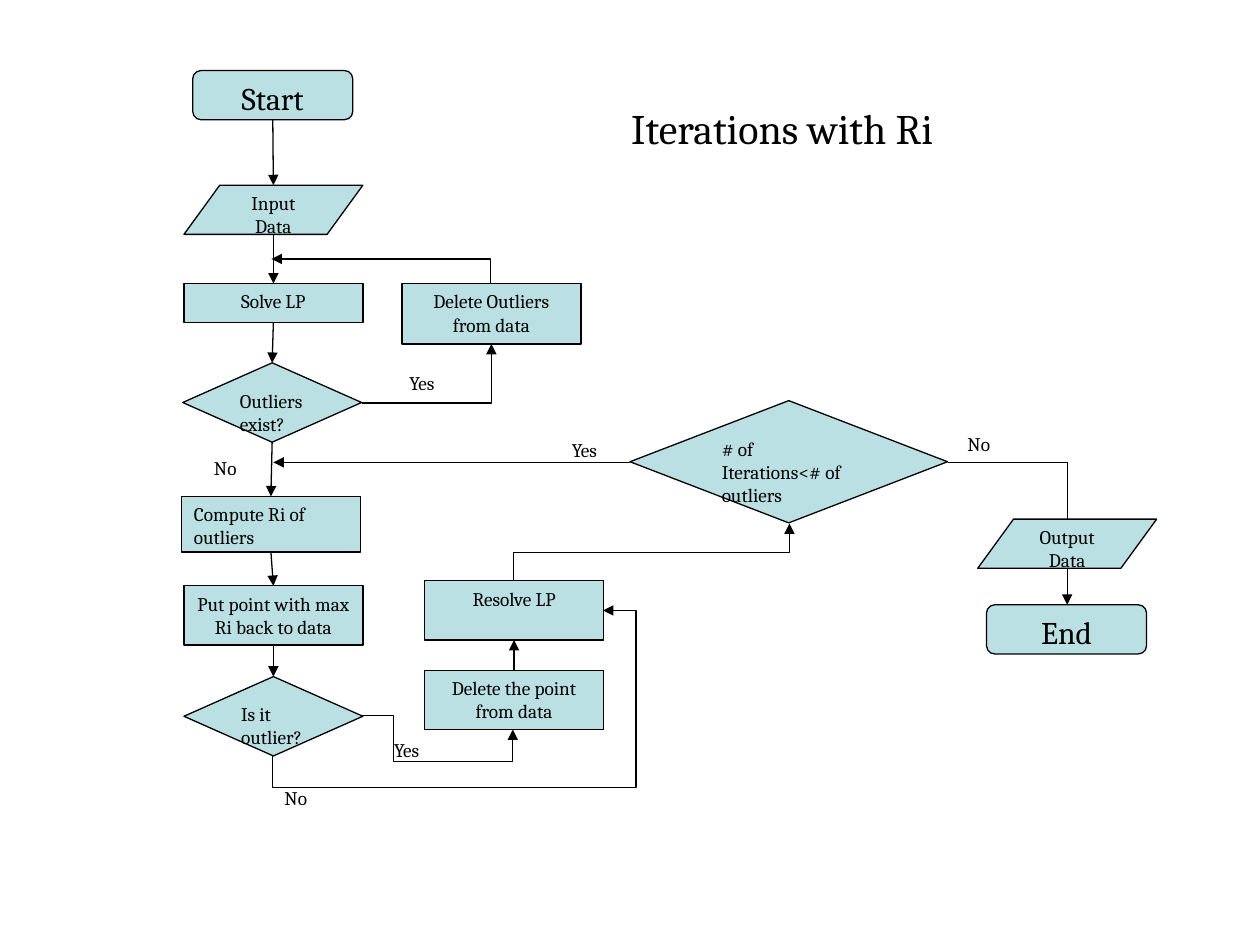
from pptx import Presentation
from pptx.dml.color import RGBColor
from pptx.enum.shapes import MSO_CONNECTOR, MSO_SHAPE
from pptx.enum.text import MSO_ANCHOR, MSO_AUTO_SIZE, PP_ALIGN
from pptx.oxml.ns import qn
from pptx.util import Inches, Pt
from lxml import etree

BLACK = RGBColor(0x00, 0x00, 0x00)
PALE_TEAL = RGBColor(0xBB, 0xE0, 0xE3)
FONT = "Cambria"
LEFT, CENTER = PP_ALIGN.LEFT, PP_ALIGN.CENTER
STRAIGHT, ELBOW = MSO_CONNECTOR.STRAIGHT, MSO_CONNECTOR.ELBOW

# Kind: preset shape, text size, alignment
KINDS = {
    "terminal": (MSO_SHAPE.ROUNDED_RECTANGLE, 18, CENTER),
    "data": (MSO_SHAPE.FLOWCHART_DATA, 11, CENTER),
    "process": (MSO_SHAPE.FLOWCHART_PROCESS, 11, CENTER),
    "note": (MSO_SHAPE.FLOWCHART_PROCESS, 11, LEFT),
    "decision": (MSO_SHAPE.FLOWCHART_DECISION, 11, LEFT),
}

# Name: kind, text, (left, top, width, height)
STEPS = {
    "start": ("terminal", "Start", (1.53, 0.56, 1.27, 0.39)),
    "input": ("data", "Input Data", (1.46, 1.47, 1.42, 0.39)),
    "solve": ("process", "Solve LP", (1.46, 2.25, 1.42, 0.31)),
    "outliers": ("decision", "Outliers exist?", (1.45, 2.88, 1.42, 0.63)),
    "delete all": ("process", "Delete Outliers from data", (3.19, 2.25, 1.42, 0.48)),
    "compute": ("note", "Compute Ri of outliers", (1.44, 3.94, 1.42, 0.44)),
    "put back": ("process", "Put point with max Ri back to data", (1.46, 4.65, 1.42, 0.47)),
    "is outlier": ("decision", "Is it outlier?", (1.46, 5.37, 1.42, 0.63)),
    "delete point": ("process", "Delete the point from data", (3.37, 5.32, 1.42, 0.47)),
    "resolve": ("process", "Resolve LP", (3.37, 4.61, 1.42, 0.47)),
    "iterations": ("decision", "# of Iterations<# of outliers", (5, 3.18, 2.52, 0.97)),
    "output": ("data", "Output Data", (7.76, 4.12, 1.42, 0.39)),
    "end": ("terminal", "End", (7.83, 4.8, 1.27, 0.39)),
}

MAIN_FLOW = ["start", "input", "solve", "outliers", "compute", "put back", "is outlier"]
VERTICAL_LINKS = list(zip(MAIN_FLOW, MAIN_FLOW[1:])) + [("delete point", "resolve")]
LOOP_BACK = (5, 3.67, 2.17, 3.67)

# Unrotated frame, rotation, flips, preset, adjustments
ELBOWS = [
    ((2.87, 2.73, 1.03, 0.47), 0, "V", "bentConnector2", []),
    ((2.93, 1.28, 0.19, 1.74), 270, "V", "bentConnector2", []),
    ((2.87, 5.68, 1.2, 0.11), 0, "", "bentConnector4", [0.21, 3.33]),
    ((2.9, 4.11, 1.15, 2.62), 90, "HV", "bentConnector4", [-0.22, 1.1]),
    ((4.94, 3.29, 0.46, 2.19), 90, "HV", "bentConnector3", [0.5]),
    ((7.52, 3.67, 0.95, 1.13), 0, "", "bentConnector2", []),
]

LABELS = [
    ("Yes", 3.15, 2.9), ("No", 1.6, 3.57), ("Yes", 3.03, 5.81),
    ("No", 2.16, 6.19), ("Yes", 4.44, 3.43), ("No", 7.58, 3.38),
]


def write(shape, text, size, align=LEFT):
    frame = shape.text_frame
    frame_format = {
        "word_wrap": True,
        "auto_size": MSO_AUTO_SIZE.NONE,
        "vertical_anchor": MSO_ANCHOR.TOP,
        "text": text,
    }
    for name, value in frame_format.items():
        setattr(frame, name, value)
    paragraph = frame.paragraphs[0]
    paragraph.alignment = align
    font = paragraph.runs[0].font
    font.name, font.size = FONT, Pt(size)
    font.color.rgb = BLACK


def add_arrow(page, kind, *ends):
    arrow = page.shapes.add_connector(kind, *map(Inches, ends))
    arrow.line.color.rgb = BLACK
    arrow.line.width = Pt(0.75)
    line = arrow.line._get_or_add_ln()
    etree.SubElement(line, qn("a:tailEnd"), type="triangle")
    etree.SubElement(arrow._element.spPr, qn("a:effectLst"))
    return arrow


def add_elbow(page, frame, rotation, flips, preset, adjustments):
    left, top, width, height = frame
    arrow = add_arrow(page, ELBOW, left, top, left + width, top + height)
    properties = arrow._element.spPr
    transform = properties.find(qn("a:xfrm"))
    transform.set("rot", str(rotation * 60000))
    for axis in flips:
        transform.set("flip" + axis, "1")
    geometry = properties.find(qn("a:prstGeom"))
    geometry.set("prst", preset)
    guides = geometry.find(qn("a:avLst"))
    if guides is None:
        guides = etree.SubElement(geometry, qn("a:avLst"))
    for number, value in enumerate(adjustments, 1):
        etree.SubElement(guides, qn("a:gd"), name=f"adj{number}",
                         fmla=f"val {round(value * 100000)}")


def add_vertical_link(page, source, target):
    """Join the facing edges of two steps, whichever is higher."""
    (x1, y1, w1, h1), (x2, y2, w2, h2) = STEPS[source][2], STEPS[target][2]
    start, end = (y1 + h1, y2) if y1 < y2 else (y1, y2 + h2)
    add_arrow(page, STRAIGHT, x1 + w1 / 2, start, x2 + w2 / 2, end)


def add_step(page, kind, text, frame):
    preset, size, align = KINDS[kind]
    box = page.shapes.add_shape(preset, *map(Inches, frame))
    box.shadow.inherit = False
    box.fill.solid()
    box.fill.fore_color.rgb = PALE_TEAL
    box.line.color.rgb = BLACK
    box.line.width = Pt(0.75)
    write(box, text, size, align)


def main():
    deck = Presentation()
    deck.slide_width, deck.slide_height = Inches(10), Inches(7.5)
    page = deck.slides.add_slide(deck.slide_layouts[5])

    title = page.shapes.title
    title.left, title.top, title.width, title.height = map(Inches, (4.91, 0.76, 4.11, 0.5))
    write(title, "Iterations with Ri", 24)

    for link in VERTICAL_LINKS:
        add_vertical_link(page, *link)
    add_arrow(page, STRAIGHT, *LOOP_BACK)
    for elbow in ELBOWS:
        add_elbow(page, *elbow)
    for step in STEPS.values():
        add_step(page, *step)
    for text, left, top in LABELS:
        label = page.shapes.add_textbox(*map(Inches, (left, top, 0.47, 0.29)))
        write(label, text, 11)

    deck.save("out.pptx")


if __name__ == "__main__":
    main()
